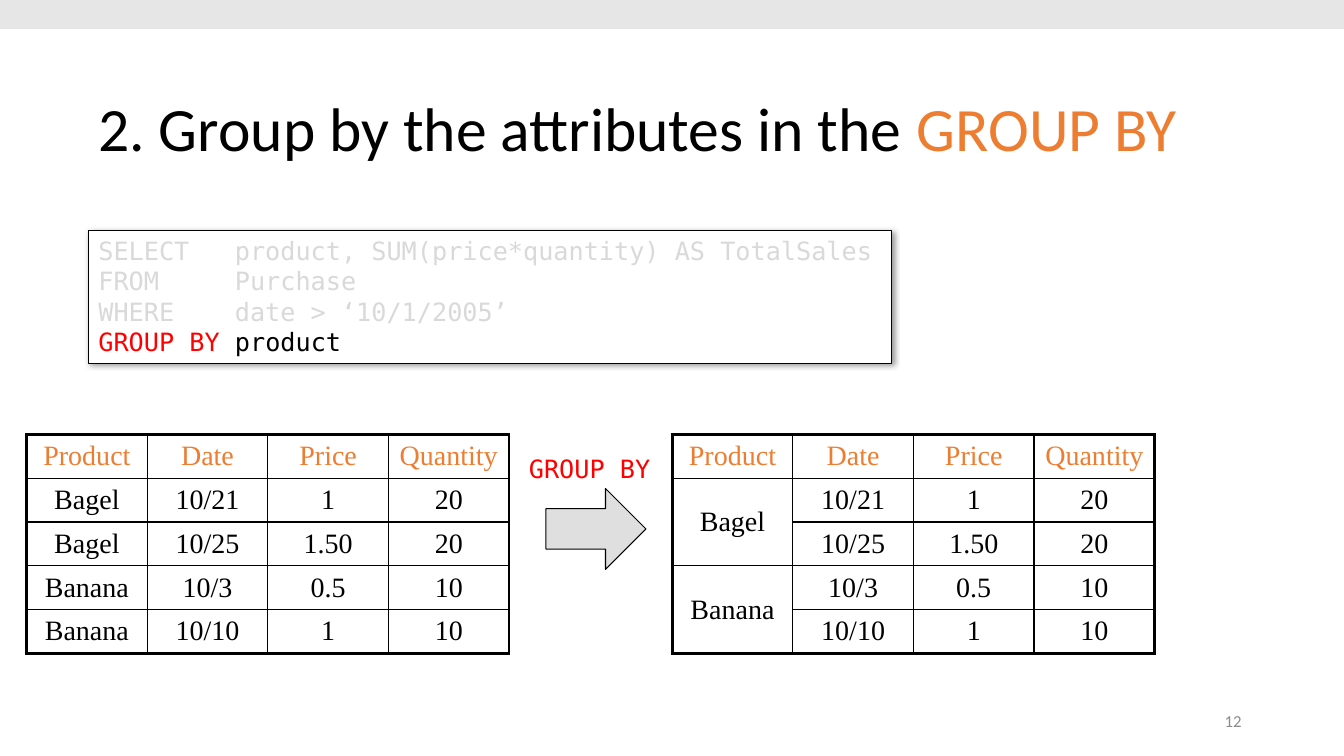
import pptx
import pptx.dml.color
import pptx.enum.shapes
import pptx.enum.text
import pptx.oxml
import pptx.oxml.ns
import pptx.util

Cm, Pt = pptx.util.Cm, pptx.util.Pt
MSO_SHAPE = pptx.enum.shapes.MSO_SHAPE
ALIGN, ANCHOR = pptx.enum.text.PP_ALIGN, pptx.enum.text.MSO_ANCHOR

COLORS = {
    "black": "000000",
    "white": "FFFFFF",
    "orange": "ED7D31",
    "red": "FF0000",
    "dimmed": "D9D9D9",
    "number": "8C8C8C",
    "band": "E7E6E6",
    "arrow": "C0C0C0",
}
FONTS = {
    "title": {"name": "Calibri", "size": Pt(44)},
    "number": {"name": "Calibri", "size": Pt(12)},
    "code": {"name": "DejaVu Sans Mono", "size": Pt(18)},
    "table": {"name": "Times New Roman", "size": Pt(20)},
}

HEADERS = ["Product", "Date", "Price", "Quantity"]
PURCHASES = [
    ["Bagel", "10/21", "1", "20"],
    ["Bagel", "10/25", "1.50", "20"],
    ["Banana", "10/3", "0.5", "10"],
    ["Banana", "10/10", "1", "10"],
]
QUERY = [
    [("SELECT   product, SUM(price*quantity) AS TotalSales", "dimmed")],
    [("FROM     Purchase", "dimmed")],
    [("WHERE    date > ‘10/1/2005’", "dimmed")],
    [("GROUP BY ", "red"), ("product", "black")],
]


def rgb(color):
    return pptx.dml.color.RGBColor.from_string(COLORS[color])


def set_attrs(obj, values):
    for name, value in values.items():
        setattr(obj, name, value)


def drawing_xml(xml):
    """Parse one DrawingML element written with the a: prefix."""
    tag, rest = xml.split(" ", 1)
    return pptx.oxml.parse_xml(f"{tag} {pptx.oxml.ns.nsdecls('a')} {rest}")


def write(tf, lines, font, frame=None, paragraph=None):
    """Fill a text frame; each line is a list of (text, color) runs."""
    set_attrs(tf, frame or {})
    for i, runs in enumerate(lines):
        p = tf.paragraphs[0] if i == 0 else tf.add_paragraph()
        set_attrs(p, {"alignment": ALIGN.LEFT, **(paragraph or {})})
        for text, color in runs:
            r = p.add_run()
            r.text = text
            set_attrs(r.font, FONTS[font])
            r.font.color.rgb = rgb(color)


def add_text(s, box, lines, font, frame=None, paragraph=None):
    sp = s.shapes.add_textbox(*map(Cm, box))
    write(sp.text_frame, lines, font, {"word_wrap": True, **(frame or {})}, paragraph)


def add_shape(s, kind, box, fill, outlined=True):
    sp = s.shapes.add_shape(kind, *map(Cm, box))
    sp.shadow.inherit = False
    sp.fill.solid()
    sp.fill.fore_color.rgb = rgb(fill)
    if outlined:
        sp.line.color.rgb = rgb("black")
        sp.line.width = Pt(0.75)
    else:
        sp.line.fill.background()
    return sp


def add_query(s, box):
    sp = add_shape(s, MSO_SHAPE.RECTANGLE, box, "white")
    sp.element.spPr.find(pptx.oxml.ns.qn("a:effectLst")).append(drawing_xml(
        f'<a:outerShdw blurRad="{Pt(4)}" dist="{Pt(1)}" dir="2700000" algn="tl" rotWithShape="0">'
        f'<a:srgbClr val="{COLORS["black"]}"><a:alpha val="40000"/></a:srgbClr></a:outerShdw>'))
    write(sp.text_frame, QUERY, "code",
          {"word_wrap": True, "vertical_anchor": ANCHOR.TOP})


def add_arrow(s, box):
    sp = add_shape(s, MSO_SHAPE.RIGHT_ARROW, box, "arrow")
    sp.adjustments[0], sp.adjustments[1] = 0.5, 0.5
    color = sp.element.spPr.find(".//" + pptx.oxml.ns.qn("a:srgbClr"))
    color.append(drawing_xml('<a:alpha val="50000"/>'))


def set_borders(cell, outer):
    """Draw all four edges, thicker on the sides named in outer."""
    tcPr = cell._tc.get_or_add_tcPr()
    for side in "LRTB":
        width = Pt(2.25 if side in outer else 1)
        tcPr.append(drawing_xml(
            f'<a:ln{side} w="{width}"><a:solidFill><a:srgbClr val="{COLORS["black"]}"/>'
            f'</a:solidFill></a:ln{side}>'))


def add_purchases(s, left, row_height, grouped=False):
    rows = [HEADERS] + PURCHASES
    n_rows, n_cols = len(rows), len(HEADERS)
    table = s.shapes.add_table(n_rows, n_cols, Cm(left), Cm(10.95),
                               Cm(3.04 * n_cols), Cm(row_height * n_rows)).table
    set_attrs(table, {"first_row": False, "horz_banding": False})
    for column in table.columns:
        column.width = Cm(3.04)
    for row in table.rows:
        row.height = Cm(row_height)
    if grouped:
        for top in (1, 3):
            table.cell(top, 0).merge(table.cell(top + 1, 0))
    for i, values in enumerate(rows):
        for j, value in enumerate(values):
            cell = table.cell(i, j)
            if cell.is_spanned:
                continue
            last = i + (cell.span_height if cell.is_merge_origin else 1)
            edges = {"L": j == 0, "R": j == n_cols - 1, "T": i == 0, "B": last == n_rows}
            set_borders(cell, [side for side, is_outer in edges.items() if is_outer])
            cell.fill.background()
            cell.vertical_anchor = ANCHOR.MIDDLE
            write(cell.text_frame, [[(value, "black" if i else "orange")]], "table",
                  paragraph={"alignment": ALIGN.CENTER})


def main():
    prs = pptx.Presentation()
    set_attrs(prs, {"slide_width": Cm(33.87), "slide_height": Cm(19.05)})
    s = prs.slides.add_slide(prs.slide_layouts[6])

    add_shape(s, MSO_SHAPE.RECTANGLE, (0, 0, 33.87, 0.73), "band", outlined=False)
    add_text(s, (2.23, 1.73, 27.92, 3.17),
             [[("2. Group by the attributes in the ", "black"), ("GROUP BY", "orange")]],
             "title", {"vertical_anchor": ANCHOR.MIDDLE}, {"line_spacing": 0.9})
    add_query(s, (2.23, 5.81, 20.25, 3.34))

    add_purchases(s, 0.67, 1.07)
    add_text(s, (13.08, 11.3, 3.6, 1.02), [[("GROUP BY", "red")]], "code",
             {"word_wrap": False})
    add_arrow(s, (13.76, 12.31, 2.52, 2.04))
    add_purchases(s, 16.94, 1.1, grouped=True)

    add_text(s, (23.92, 17.66, 7.62, 1.01), [[("12", "number")]], "number",
             {"vertical_anchor": ANCHOR.MIDDLE}, {"alignment": ALIGN.RIGHT})
    prs.save("out.pptx")


if __name__ == "__main__":
    main()
